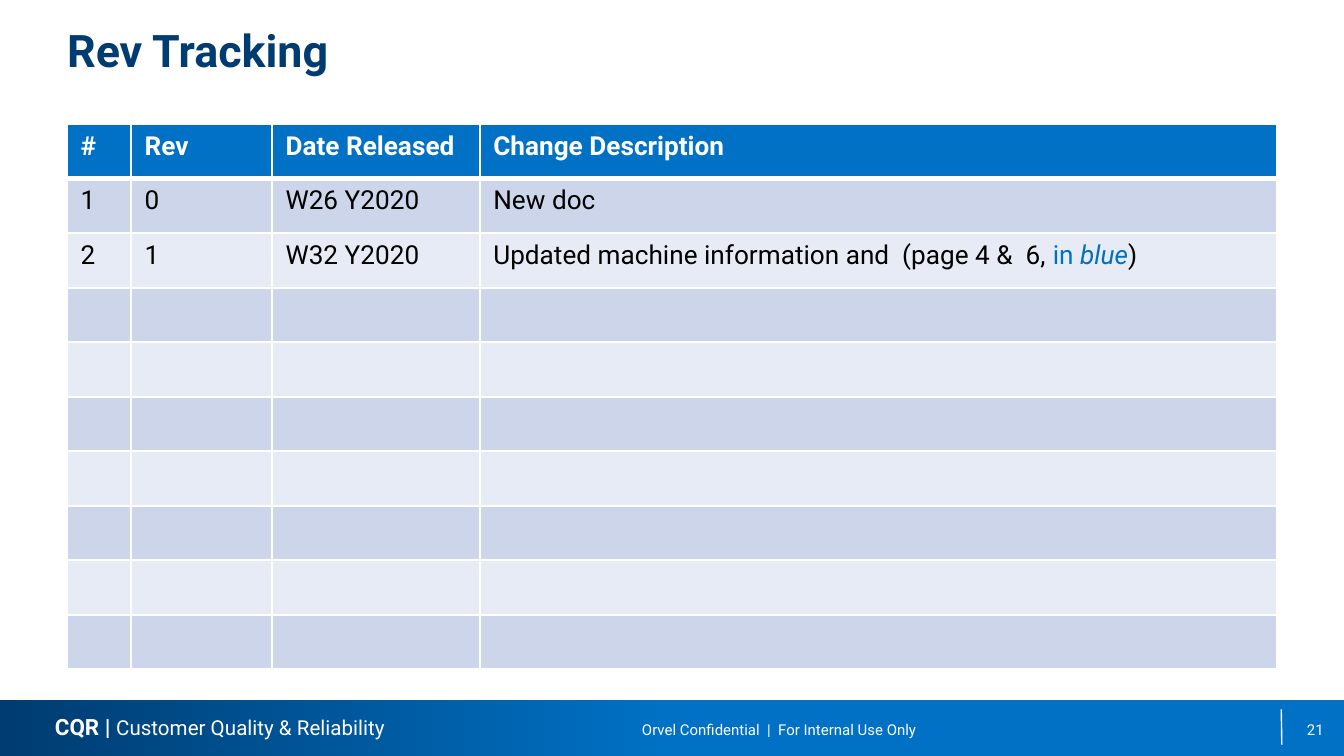
from lxml import etree
from pptx import Presentation
from pptx.dml.color import RGBColor
from pptx.enum.shapes import MSO_CONNECTOR, MSO_SHAPE
from pptx.enum.text import MSO_ANCHOR, MSO_AUTO_SIZE, PP_ALIGN
from pptx.oxml import parse_xml
from pptx.oxml.ns import nsdecls, qn
from pptx.util import Pt

RECT, STRAIGHT = MSO_SHAPE.RECTANGLE, MSO_CONNECTOR.STRAIGHT
TOP, MIDDLE, NO_FIT = MSO_ANCHOR.TOP, MSO_ANCHOR.MIDDLE, MSO_AUTO_SIZE.NONE
LEFT, CENTER, RIGHT, JUSTIFY = PP_ALIGN.LEFT, PP_ALIGN.CENTER, PP_ALIGN.RIGHT, PP_ALIGN.JUSTIFY
NAVY, BLUE, WHITE, BLACK = "003C71", "0071C5", "FFFFFF", "000000"
BANDS = ("CCD5EA", "E7EBF5")


def rgb(value):
    return RGBColor.from_string(value)


def write(tf, runs, size, color, bold=False, align=LEFT):
    """Fill the first paragraph with runs of (text, overrides)."""
    p = tf.paragraphs[0]
    p.alignment = align
    for text, look in runs:
        r = p.add_run()
        r.text = text
        r.font.name = "Roboto"
        r.font.size = Pt(look.get("size", size))
        r.font.bold = look.get("bold", bold)
        r.font.italic = look.get("italic", False)
        r.font.color.rgb = rgb(look.get("color", color))


prs = Presentation()
prs.slide_width, prs.slide_height = Pt(720), Pt(405)
s = prs.slides.add_slide(prs.slide_layouts[5])

# Footer band
band = s.shapes.add_shape(RECT, Pt(0), Pt(375), Pt(720), Pt(30))
band.shadow.inherit = False
band.line.fill.background()
band.fill.gradient()
band.fill.gradient_angle = 0
for stop, color, position in zip(band.fill.gradient_stops, (NAVY, BLUE), (0, 0.5)):
    stop.color.rgb = rgb(color)
    stop.position = position

# Divider before the page number
divider = s.shapes.add_connector(STRAIGHT, Pt(686.4), Pt(380), Pt(686.7), Pt(399))
divider.line.color.rgb = rgb(WHITE)
divider.line.width = Pt(0.75)
etree.SubElement(divider._element.spPr, qn("a:effectLst"))

# Footer texts: box, runs, size, alignment, anchor, wrap, side and top insets
footers = [
    ((303.8, 381, 227.5, 20), [("Orvel Confidential  |  For Internal Use Only", {})],
     8, CENTER, MIDDLE, False, 0, 0),
    ((22.3, 378.7, 195, 21.6),
     [("CQR | ", {"size": 12, "bold": True}), ("Customer Quality & Reliability", {})],
     11, JUSTIFY, TOP, False, 7.2, 3.6),
    ((541.4, 380.2, 167.8, 21.6), [("21", {})], 8, RIGHT, MIDDLE, True, 0, 0),
]
for box, runs, size, align, anchor, wrap, side, top in footers:
    tf = s.shapes.add_textbox(*map(Pt, box)).text_frame
    tf.word_wrap = wrap
    tf.vertical_anchor = anchor
    tf.margin_left = tf.margin_right = Pt(side)
    tf.margin_top = tf.margin_bottom = Pt(top)
    write(tf, runs, size, WHITE, align=align)

# Title
title = s.shapes.title
title.left, title.top, title.width, title.height = Pt(36), Pt(12.2), Pt(648), Pt(68.4)
tf = title.text_frame
tf.auto_size = NO_FIT
tf.vertical_anchor = TOP
tf.margin_left = tf.margin_right = tf.margin_top = tf.margin_bottom = 0
write(tf, [("Rev Tracking", {})], 24, NAVY, bold=True)

# Revision table
rows = [
    ["#", "Rev", "Date Released", "Change Description"],
    ["1", "0", "W26 Y2020", "New doc"],
    ["2", "1", "W32 Y2020", [
        ("Updated machine information and  (page 4 &  6, ", {}),
        ("in ", {"color": "0070C0"}),
        ("blue", {"color": "0070C0", "italic": True}),
        (")", {}),
    ]],
]
widths = (34.3, 75.5, 111.3, 426.9)
row_count, row_height = 10, 29.2
table = s.shapes.add_table(row_count, len(widths), Pt(36), Pt(66.6),
                           Pt(sum(widths)), Pt(row_count * row_height)).table
for column, width in zip(table.columns, widths):
    column.width = Pt(width)

for i, row in enumerate(table.rows):
    row.height = Pt(row_height)
    header = i == 0
    for j, cell in enumerate(row.cells):
        # White borders, thicker under the header
        for side in "LRTB":
            thick = (i, side) in ((0, "B"), (1, "T"))
            cell._tc.get_or_add_tcPr().append(parse_xml(
                f'<a:ln{side} {nsdecls("a")} w="{Pt(3 if thick else 1)}"><a:solidFill>'
                f'<a:srgbClr val="{WHITE}"/></a:solidFill></a:ln{side}>'))
        cell.fill.solid()
        cell.fill.fore_color.rgb = rgb(BLUE if header else BANDS[(i - 1) % 2])
        if i < len(rows):
            content = rows[i][j]
            runs = [(content, {})] if isinstance(content, str) else content
            write(cell.text_frame, runs, 14, WHITE if header else BLACK, bold=header)

prs.save("out.pptx")
